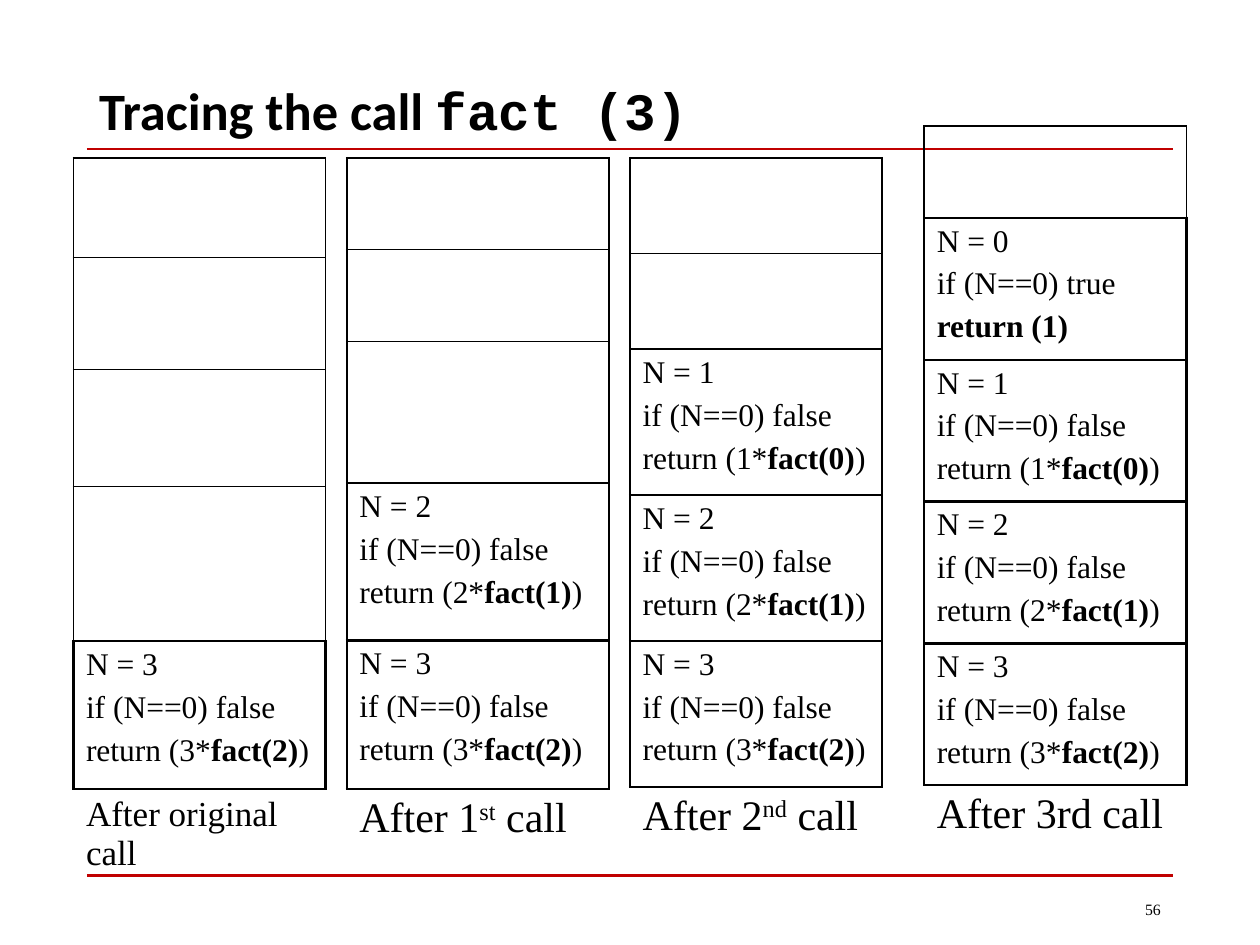
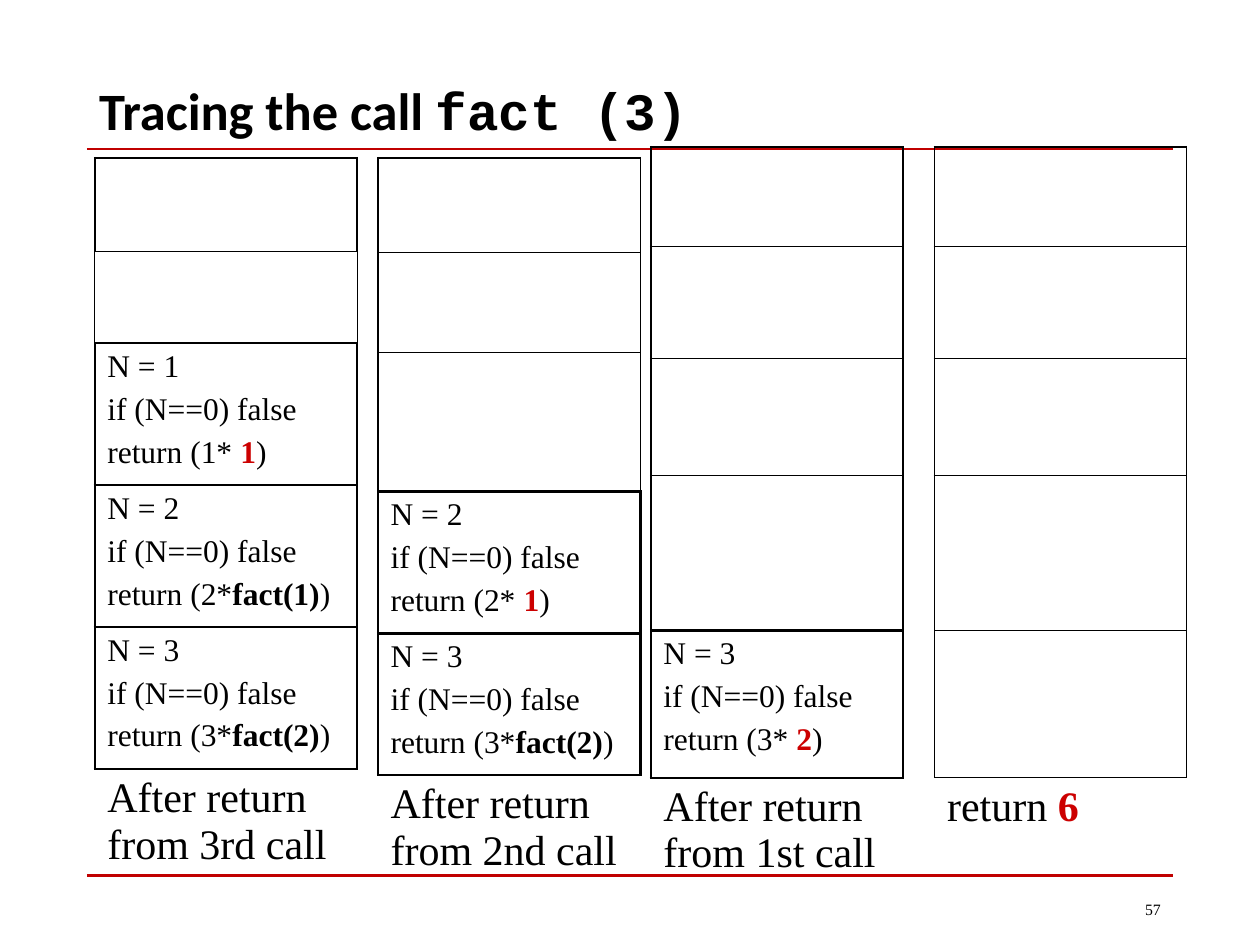
from lxml import etree
from pptx import Presentation
from pptx.dml.color import RGBColor
from pptx.enum.shapes import MSO_CONNECTOR
from pptx.enum.text import MSO_ANCHOR, PP_ALIGN
from pptx.oxml.ns import qn
from pptx.util import Cm, Pt

LINE = MSO_CONNECTOR.STRAIGHT
MIDDLE = MSO_ANCHOR.MIDDLE
LEFT, RIGHT = PP_ALIGN.LEFT, PP_ALIGN.RIGHT

COLORS = {"ink": "000000", "rule": "C00000", "mark": "CC0000"}
SERIF, SANS, MONO = "Times New Roman", "Calibri", "Courier New"
PLAIN = "{2D5ABB26-0587-4C30-8999-92F81FD0307C}"
THIN, SIDE, BOLD = 0.45, 1.08, 1.47
TALL = [2.01, 2.26, 2.36, 3.12, 2.97, 2.41]

CALLS = [
    dict(left=1.48, top=3.18, width=5.08, rows=TALL, frames=[(3, None)],
         label=[("After original call", {})], size=20),
    dict(left=6.99, top=3.18, width=5.29, rows=[1.85, 1.85, 2.86, 3.17, 3.0, 1.85],
         frames=[(2, None), (3, None)],
         label=[("After 1", {}), ("st", {"raised": True}), (" call", {})]),
    dict(left=12.7, top=3.18, width=5.08, rows=[1.93] * 2 + [2.94] * 3 + [1.93],
         frames=[(1, None), (2, None), (3, None)],
         label=[("After 2", {}), ("nd", {"raised": True}), (" call", {})]),
    dict(left=18.63, top=2.54, width=5.29, rows=[1.85] + [2.86] * 4 + [1.85],
         frames=[(0, None), (1, None), (2, None), (3, None)],
         label=[("After 3rd call", {})]),
]
RETURNS = [
    dict(left=1.91, top=3.18, width=5.29, rows=[1.89, 1.85] + [2.86] * 3 + [2.29],
         frames=[(1, 1), (2, None), (3, None)], faint=1,
         label=[("After return from 3rd call", {})]),
    dict(left=7.62, top=3.18, width=5.29, rows=[1.9, 2.03, 2.8, 2.86, 2.86, 2.29],
         frames=[(2, 1), (3, None)], label=[("After return from 2nd call", {})]),
    dict(left=13.12, top=2.96, width=5.08, rows=TALL, frames=[(3, 2)],
         label=[("After return from 1st call", {})]),
    dict(left=18.84, top=2.96, width=5.08, rows=TALL, frames=[], faint=4,
         label=[("return ", {}), ("6", {"bold": True, "color": "mark"})]),
]


def add_run(para, text, size, font=SERIF, bold=False, color="ink", raised=False):
    """Add one styled run to a paragraph."""
    run = para.add_run()
    run.text = text
    run.font.size = Pt(size)
    run.font.name = font
    run.font.bold = bold
    run.font.color.rgb = RGBColor.from_string(COLORS[color])
    if raised:
        run.font._element.set("baseline", "30000")


def add_box(slide, left, top, width, height, align):
    """Add a text box and return its first paragraph."""
    frame = slide.shapes.add_textbox(Cm(left), Cm(top), Cm(width), Cm(height)).text_frame
    frame.word_wrap = True
    frame.vertical_anchor = MIDDLE
    para = frame.paragraphs[0]
    para.alignment = align
    return para


def add_rule(slide, y):
    """Draw a red rule across the slide."""
    rule = slide.shapes.add_connector(LINE, Cm(1.75), Cm(y), Cm(23.65), Cm(y))
    rule.line.color.rgb = RGBColor.from_string(COLORS["rule"])
    rule.line.width = Pt(1.5)
    etree.SubElement(rule._element.spPr, qn("a:effectLst"))


def add_base(prs, number):
    """Add a slide with the shared rules, title and page number."""
    slide = prs.slides.add_slide(prs.slide_layouts[6])
    for y in (3.0, 17.65):
        add_rule(slide, y)
    title = add_box(slide, 1.75, 1.55, 21.92, 1.47, LEFT)
    title.line_spacing = 0.9
    add_run(title, "Tracing the call ", 30, SANS, bold=True)
    add_run(title, "fact (3)", 30, MONO, bold=True)
    add_run(add_box(slide, 17.93, 17.81, 5.72, 1.02, RIGHT), str(number), 9)
    return slide


def set_edges(cell, sides, above, below):
    """Set the border widths of a cell, where zero means no line."""
    props = cell._tc.get_or_add_tcPr()
    for tag, width in zip(("lnL", "lnR", "lnT", "lnB"), (sides, sides, above, below)):
        edge = etree.SubElement(props, qn("a:" + tag), w=str(Pt(width)))
        if width:
            fill = etree.SubElement(edge, qn("a:solidFill"))
            etree.SubElement(fill, qn("a:srgbClr"), val=COLORS["ink"])
        else:
            etree.SubElement(edge, qn("a:noFill"))
    cell.fill.background()


def frame_lines(n, value):
    """Give the lines of one call frame as lists of runs."""
    if n == 0:
        last = [("return (1)", {"bold": True})]
    elif value is None:
        last = [(f"return ({n}*", {}), (f"fact({n - 1})", {"bold": True}), (")", {})]
    else:
        last = [(f"return ({n}* ", {}), (str(value), {"bold": True, "color": "mark"}),
                (")", {})]
    test = "true" if n == 0 else "false"
    return [[(f"N = {n}", {})], [(f"if (N==0) {test}", {})], last]


def fill_cell(cell, lines, size):
    """Write lines of runs into a cell."""
    for i, line in enumerate(lines):
        para = cell.text_frame.add_paragraph() if i else cell.text_frame.paragraphs[0]
        if i:
            para.space_before = Pt(4.5)
        for text, style in line:
            add_run(para, text, size, **style)


def add_stack(slide, left, top, width, rows, frames, label, size=24, faint=None):
    """Add a call stack with its label as the last row."""
    table = slide.shapes.add_table(len(rows), 1, Cm(left), Cm(top), Cm(width),
                                   Cm(sum(rows))).table
    table.first_row = table.horz_banding = False
    table._tbl.tblPr.find(qn("a:tableStyleId")).text = PLAIN
    table.columns[0].width = Cm(width)
    last = len(rows) - 1
    first = last - len(frames)
    edges = [SIDE] + [BOLD if frames and i >= first else THIN for i in range(1, last + 1)] + [0]
    for i, height in enumerate(rows):
        table.rows[i].height = Cm(height)
        cell = table.cell(i, 0)
        if i == last:
            sides = 0
            fill_cell(cell, [label], size)
        elif i >= first:
            sides = BOLD
            fill_cell(cell, frame_lines(*frames[i - first]), 18)
        else:
            sides = THIN if i == faint else SIDE
        set_edges(cell, sides, edges[i], edges[i + 1])


def main():
    """Build both slides and save them."""
    prs = Presentation()
    prs.slide_width, prs.slide_height = Cm(25.4), Cm(19.05)
    for number, stacks in enumerate((CALLS, RETURNS), 56):
        slide = add_base(prs, number)
        for stack in stacks:
            add_stack(slide, **stack)
    prs.save("out.pptx")


if __name__ == "__main__":
    main()
